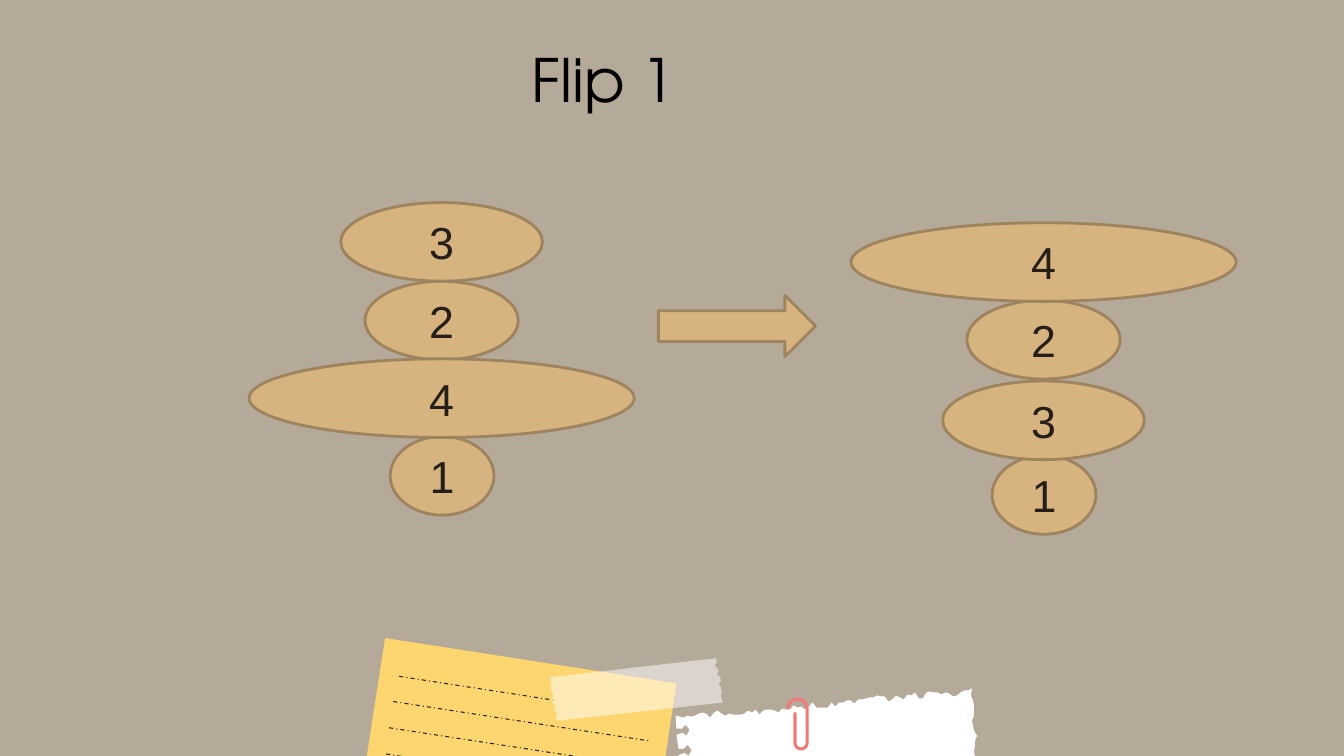
from math import cos, radians, sin
from typing import NamedTuple

from lxml import etree
from pptx import Presentation
from pptx import util as u
from pptx.dml.color import RGBColor
from pptx.enum import dml, shapes, text
from pptx.oxml import ns

PX = u.Inches(1) // 100

BACKGROUND = RGBColor(0xB5, 0xAA, 0x99)
BATTER = RGBColor(0xD6, 0xB3, 0x7F)
CRUST = RGBColor(0x9E, 0x84, 0x5E)
INK = RGBColor(0x25, 0x1F, 0x18)
BLACK = RGBColor(0, 0, 0)
WHITE = RGBColor(0xFF, 0xFF, 0xFF)
YELLOW = RGBColor(0xFD, 0xD6, 0x70)
CORAL = RGBColor(0xF2, 0x79, 0x77)

Point = tuple[float, float]


class Stack(NamedTuple):
    center: int
    tops: dict[int, int]


class Rule(NamedTuple):
    x1: int
    y1: int
    x2: int
    y2: int


class Cutout(NamedTuple):
    points: list[Point]
    color: RGBColor


PANCAKE_HEIGHT = 78
PANCAKE_WIDTHS = {1: 103, 2: 152, 3: 200, 4: 382}
STACKS = [
    Stack(438, {1: 433, 2: 279, 3: 201, 4: 356}),
    Stack(1035, {1: 452, 2: 298, 3: 378, 4: 221}),
]
NOTE_RULES = [
    Rule(396, 671, 552, 695),
    Rule(390, 696, 644, 735),
    Rule(386, 722, 640, 761),
    Rule(383, 748, 636, 787),
]
NOTE = Cutout([(671, 678), (382, 633), (358, 788), (650, 816)], YELLOW)
TAPE = Cutout([
    (713, 665), (709, 660), (711, 657), (710, 653), (545, 672), (547, 677),
    (546, 682), (547, 686), (549, 690), (547, 693), (548, 697), (551, 700),
    (549, 703), (553, 708), (551, 712), (552, 715), (717, 697), (715, 691),
    (716, 686), (715, 682), (713, 678), (715, 675), (714, 671), (711, 669),
], WHITE)
TORN_SIDE = [966, 967, 967, 969, 966, 965, 964, 966, 966, 966, 965, 963]
TORN_TOP = [
    683, 685, 685, 687, 690, 691, 688, 687, 689, 687, 687, 686, 687, 693, 693, 687,
    690, 689, 694, 692, 690, 694, 696, 691, 691, 690, 692, 692, 693, 694, 694, 698,
    695, 695, 697, 697, 701, 697, 702, 702, 702, 702, 697, 701, 704, 701, 702, 700,
    704, 704, 703, 707, 705, 704, 704, 705, 709, 704, 707, 705, 708, 709, 709, 709,
    708, 710, 708, 705, 707, 712, 708, 707, 708, 710, 711, 710, 712,
]
HOLE = [(671, 723), (676, 723), (680, 719), (684, 724), (681, 730), (677, 727), (671, 729)]


def arc(x: float, y: float, radius: float, start: int, end: int) -> list[Point]:
    angles = [radians(start + (end - start) * step / 12) for step in range(13)]
    return [(x + radius * cos(angle), y + radius * sin(angle)) for angle in angles]


def torn_paper() -> Cutout:
    side = [(x, 745 - 5 * row) for row, x in enumerate(TORN_SIDE)]
    pitch = (964 - 678) / (len(TORN_TOP) - 1)
    top = [(964 - pitch * column, y) for column, y in enumerate(TORN_TOP)]
    holes = [(x + 2 * row, y + 20 * row) for row in range(5) for x, y in HOLE]
    return Cutout([(975, 795), *side, *top, (670, 710), *holes, (680, 823)], WHITE)


def paper_clip() -> Cutout:
    inner = arc(791, 703, 8, 180, 360) + arc(794.5, 737, 4.5, 0, 180)
    tip = arc(788.5, 708, 1.5, 360, 180)
    outer = arc(794.5, 737, 7.5, 180, 0) + arc(791, 703, 11, 360, 180)
    return Cutout(inner + tip + outer, CORAL)


def draw_cutout(page, cutout: Cutout):
    points = [(x * PX, y * PX) for x, y in cutout.points]
    builder = page.shapes.build_freeform(*points[0], scale=1.0)
    builder.add_line_segments(points[1:], close=True)
    shape = builder.convert_to_shape()
    shape.shadow.inherit = False
    shape.fill.solid()
    shape.fill.fore_color.rgb = cutout.color
    shape.line.fill.background()
    return shape


def make_translucent(shape, percent: int) -> None:
    color = shape.element.spPr.find(".//" + ns.qn("a:srgbClr"))
    etree.SubElement(color, ns.qn("a:alpha")).set("val", str(percent * 1000))


def draw_rule(page, rule: Rule) -> None:
    ends = [length * PX for length in rule]
    line = page.shapes.add_connector(shapes.MSO_CONNECTOR.STRAIGHT, *ends)
    line.line.color.rgb = INK
    line.line.width = u.Pt(0.75)
    line.line.dash_style = dml.MSO_LINE.DASH_DOT
    etree.SubElement(line.element.spPr, ns.qn("a:effectLst"))


def draw_baked(page, kind, left: int, top: int, width: int, height: int):
    shape = page.shapes.add_shape(kind, left * PX, top * PX, width * PX, height * PX)
    shape.shadow.inherit = False
    shape.fill.solid()
    shape.fill.fore_color.rgb = BATTER
    shape.line.color.rgb = CRUST
    shape.line.width = u.Pt(2)
    return shape


def set_text(frame, words: str, font: str, size: float, color: RGBColor) -> None:
    frame.text = words
    paragraph = frame.paragraphs[0]
    paragraph.alignment = text.PP_ALIGN.CENTER
    span = paragraph.runs[0]
    span.font.name = font
    span.font.size = u.Pt(size)
    span.font.color.rgb = color


def draw_stack(page, stack: Stack) -> None:
    for number, top in stack.tops.items():
        width = PANCAKE_WIDTHS[number]
        left = stack.center - width // 2
        pancake = draw_baked(page, shapes.MSO_SHAPE.OVAL, left, top, width, PANCAKE_HEIGHT)
        pancake.text_frame.vertical_anchor = text.MSO_ANCHOR.MIDDLE
        set_text(pancake.text_frame, str(number), "Arial", 32, INK)


def draw_title(page) -> None:
    box = page.shapes.add_textbox(373 * PX, 37 * PX, 451 * PX, 82 * PX)
    box.text_frame.word_wrap = True
    box.text_frame.auto_size = text.MSO_AUTO_SIZE.SHAPE_TO_FIT_TEXT
    set_text(box.text_frame, "Flip 1", "TeX Gyre Adventor", 42.7, BLACK)


def main() -> None:
    deck = Presentation()
    deck.slide_width = 1333 * PX
    deck.slide_height = 750 * PX
    page = deck.slides.add_slide(deck.slide_layouts[6])
    page.background.fill.solid()
    page.background.fill.fore_color.rgb = BACKGROUND

    draw_cutout(page, NOTE)
    for rule in NOTE_RULES:
        draw_rule(page, rule)
    make_translucent(draw_cutout(page, TAPE), 50)
    draw_cutout(page, torn_paper())
    draw_cutout(page, paper_clip())

    draw_title(page)
    draw_baked(page, shapes.MSO_SHAPE.RIGHT_ARROW, 653, 293, 156, 61)
    for stack in STACKS:
        draw_stack(page, stack)
    deck.save("out.pptx")


if __name__ == "__main__":
    main()
